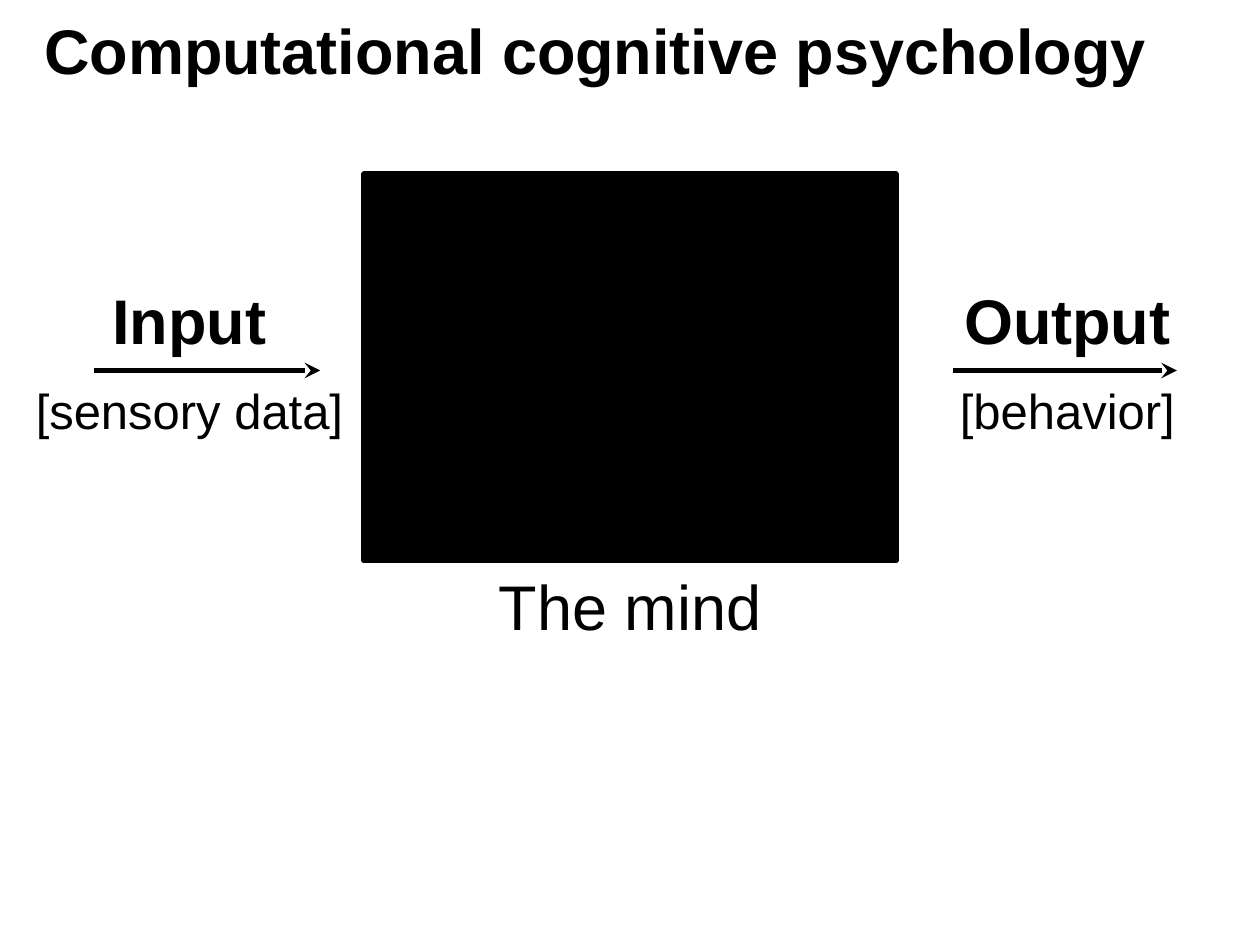
"""Build a slide that shows the mind as a black box between input and output."""
from pptx import Presentation
from pptx.dml.color import RGBColor
from pptx.enum.shapes import MSO_CONNECTOR, MSO_SHAPE
from pptx.enum.text import MSO_ANCHOR, MSO_AUTO_SIZE, PP_ALIGN
from pptx.oxml.ns import qn
from pptx.util import Pt
from lxml.etree import SubElement

FONT = "Arial"
BLACK = "000000"


def color(value):
    return RGBColor.from_string(value)


def write(paragraph, text, size=36, bold=False, align=PP_ALIGN.CENTER, spacing=1.0):
    paragraph.text = text
    paragraph.alignment = align
    paragraph.line_spacing = spacing
    paragraph.space_before = paragraph.space_after = Pt(0)
    font = paragraph.font
    font.name, font.size, font.bold = FONT, Pt(size), bold
    font.color.rgb = color(BLACK)


class SlideBuilder:
    def __init__(self, slide, ink=BLACK, line_width=3):
        self.slide = slide
        self.ink = ink
        self.line_width = line_width

    def prepare_frame(self, shape, wrap=True, grow=True):
        frame = shape.text_frame
        frame.margin_left = frame.margin_right = Pt(0)
        frame.margin_top = frame.margin_bottom = Pt(0)
        frame.vertical_anchor = MSO_ANCHOR.MIDDLE
        frame.word_wrap = wrap
        frame.auto_size = MSO_AUTO_SIZE.SHAPE_TO_FIT_TEXT if grow else MSO_AUTO_SIZE.NONE
        return frame

    def title(self, text, left, top, width, height):
        shape = self.slide.shapes.title
        shape.left, shape.top = Pt(left), Pt(top)
        shape.width, shape.height = Pt(width), Pt(height)
        frame = self.prepare_frame(shape, grow=False)
        write(frame.paragraphs[0], text, bold=True, align=PP_ALIGN.LEFT)

    def box(self, left, top, width, height):
        shape = self.slide.shapes.add_shape(
            MSO_SHAPE.RECTANGLE, Pt(left), Pt(top), Pt(width), Pt(height))
        shape.shadow.inherit = False
        shape.fill.solid()
        shape.fill.fore_color.rgb = color(self.ink)
        shape.line.color.rgb = color(self.ink)
        shape.line.width = Pt(self.line_width)

    def text_box(self, left, top, width, height, wrap=True):
        shape = self.slide.shapes.add_textbox(Pt(left), Pt(top), Pt(width), Pt(height))
        return self.prepare_frame(shape, wrap)

    def caption(self, text, left, top, width, height):
        write(self.text_box(left, top, width, height).paragraphs[0], text)

    def label(self, heading, detail, left, top, width, height):
        frame = self.text_box(left, top, width, height, wrap=False)
        write(frame.paragraphs[0], heading, bold=True, spacing=1.4)
        write(frame.add_paragraph(), detail, size=28, spacing=1.4)

    def arrow(self, start, end, height):
        connector = self.slide.shapes.add_connector(
            MSO_CONNECTOR.STRAIGHT, Pt(start), Pt(height), Pt(end), Pt(height))
        connector.line.color.rgb = color(self.ink)
        connector.line.width = Pt(self.line_width)
        properties = connector.element.spPr
        SubElement(properties.find(qn("a:ln")), qn("a:tailEnd"), type="stealth")
        SubElement(properties, qn("a:effectLst"))


def main():
    presentation = Presentation()
    presentation.slide_width, presentation.slide_height = Pt(720), Pt(540)
    slide = presentation.slides.add_slide(presentation.slide_layouts[5])
    builder = SlideBuilder(slide)

    builder.title("Computational cognitive psychology", 25.2, 6.5, 694.8, 43.2)
    builder.box(208, 99.5, 304, 221)
    builder.caption("The mind", 208, 324, 304, 44)

    flows = [
        ("Input", "[sensory data]", 19.4, 177.8, 53.5, 183),
        ("Output", "[behavior]", 548, 123.8, 544.5, 672.5),
    ]
    for heading, detail, left, width, start, end in flows:
        builder.label(heading, detail, left, 144, width, 106.5)
        builder.arrow(start, end, 211.7)

    presentation.save("out.pptx")


if __name__ == "__main__":
    main()
